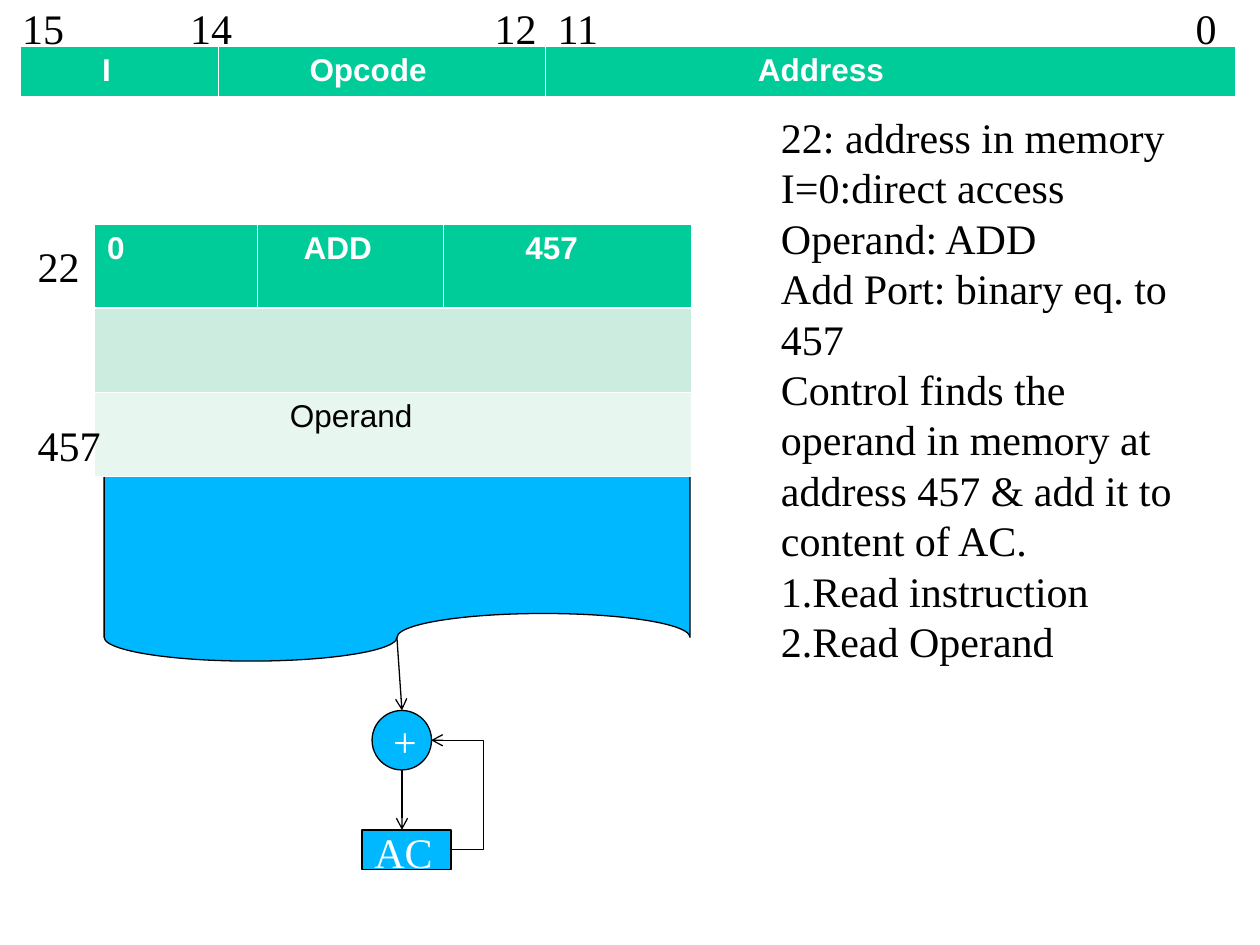
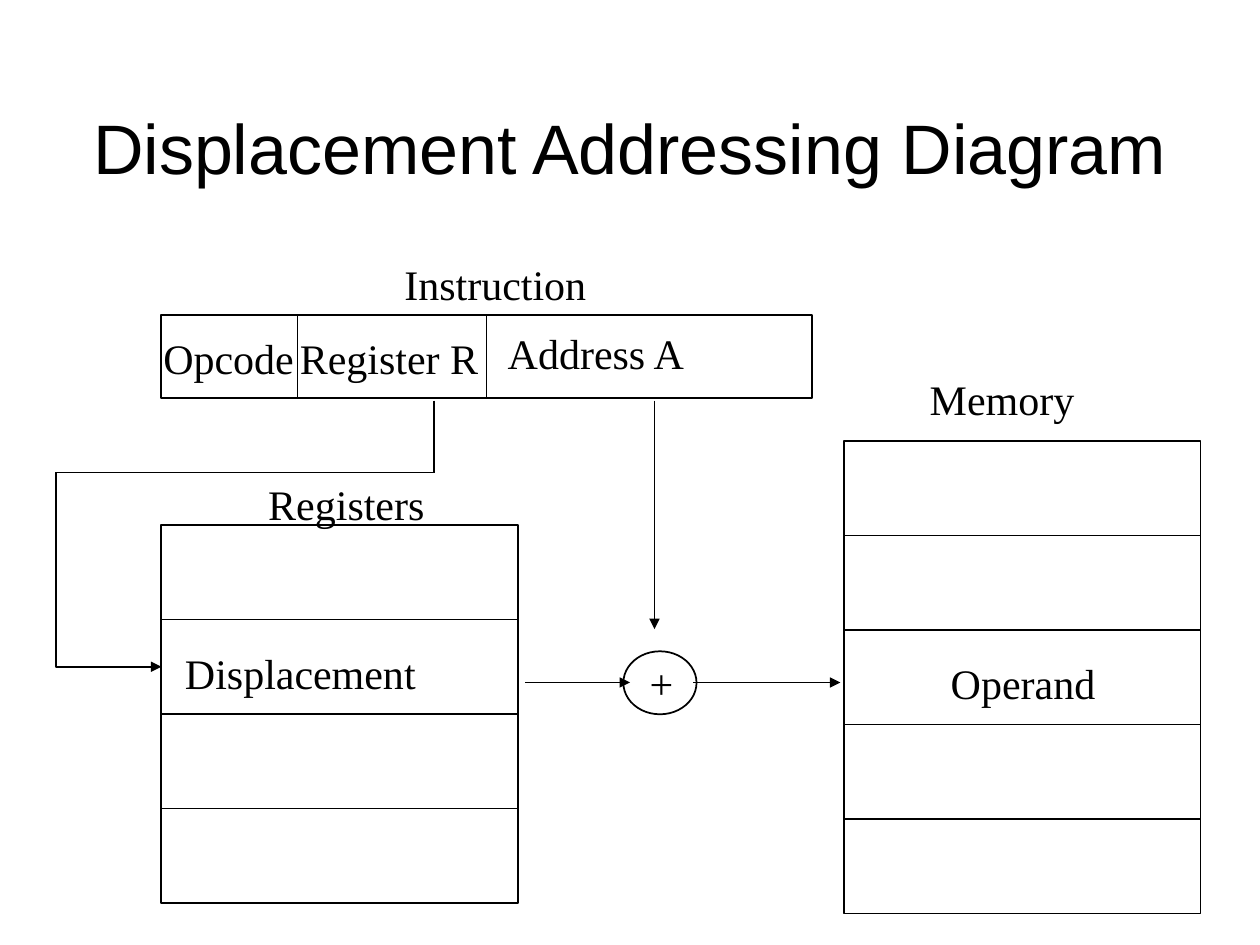
from lxml.etree import SubElement
from pptx import Presentation
from pptx.dml.color import RGBColor
from pptx.enum.shapes import MSO_CONNECTOR, MSO_SHAPE
from pptx.enum.text import MSO_ANCHOR, MSO_AUTO_SIZE, PP_ALIGN
from pptx.oxml.ns import qn
from pptx.util import Pt

BLACK = RGBColor(0x00, 0x00, 0x00)
WHITE = RGBColor(0xFF, 0xFF, 0xFF)
BLUE = RGBColor(0x00, 0xB8, 0xFF)
GREEN = RGBColor(0x00, 0xCC, 0x99)
MINT = RGBColor(0xCB, 0xEC, 0xDE)
PALE_MINT = RGBColor(0xE7, 0xF6, 0xEF)

SERIF = "Times New Roman"
SANS = "Arial"
THIN, NORMAL = 0.75, 1
CELL_BORDER, HEADER_BORDER = 0.45, 1.47
MARGIN_X, MARGIN_Y = 7.2, 3.6
LABEL_HEIGHT = 36
TITLE_ONLY, BLANK = 5, 6


def write_text(frame, text, *, size=24, font=SERIF, color=BLACK, bold=False,
               align=PP_ALIGN.LEFT, spacing=1.0, anchor=MSO_ANCHOR.TOP,
               tabs=(), numbered_from=None):
    """Fill a text frame, one paragraph for each line of text."""
    frame.margin_left = frame.margin_right = Pt(MARGIN_X)
    frame.margin_top = frame.margin_bottom = Pt(MARGIN_Y)
    frame.vertical_anchor = anchor
    for index, line in enumerate(text.split("\n")):
        paragraph = frame.add_paragraph() if index else frame.paragraphs[0]
        paragraph.alignment = align
        paragraph.line_spacing = spacing
        run = paragraph.add_run()
        run.text = line
        run.font.size = Pt(size)
        run.font.name = font
        run.font.bold = bold
        run.font.color.rgb = color
        properties = paragraph._p.get_or_add_pPr()
        if numbered_from is not None and index >= numbered_from:
            properties.set("marL", "0")
            properties.set("indent", "0")
            SubElement(properties, qn("a:buAutoNum"), type="arabicPeriod")
        if tabs:
            tab_list = SubElement(properties, qn("a:tabLst"))
            for position in tabs:
                SubElement(tab_list, qn("a:tab"), pos=str(Pt(position)), algn="l")


class Diagram:
    """Holds the presentation, the current slide and the line style."""

    def __init__(self):
        self.presentation = Presentation()
        self.presentation.slide_width = Pt(720)
        self.presentation.slide_height = Pt(540)
        self.slide = None
        self.line_width = NORMAL

    def new_slide(self, layout, line_width):
        layouts = self.presentation.slide_layouts
        self.slide = self.presentation.slides.add_slide(layouts[layout])
        self.line_width = line_width

    def title(self, text, left, top, width, height):
        title = self.slide.shapes.title
        title.left, title.top = Pt(left), Pt(top)
        title.width, title.height = Pt(width), Pt(height)
        title.text_frame.auto_size = MSO_AUTO_SIZE.NONE
        title.text_frame.word_wrap = True
        write_text(title.text_frame, text, size=40, font=SANS, spacing=0.81,
                   align=PP_ALIGN.CENTER, anchor=MSO_ANCHOR.BOTTOM)

    def label(self, text, left, top, width, height=LABEL_HEIGHT, **style):
        box = self.slide.shapes.add_textbox(Pt(left), Pt(top), Pt(width), Pt(height))
        box.text_frame.word_wrap = True
        box.text_frame.auto_size = MSO_AUTO_SIZE.SHAPE_TO_FIT_TEXT
        write_text(box.text_frame, text, **style)

    def outline(self, shape, width=None, arrow=None):
        shape.line.color.rgb = BLACK
        shape.line.width = Pt(width or self.line_width)
        if arrow:
            SubElement(shape.line._get_or_add_ln(), qn("a:tailEnd"), type=arrow)

    def shape(self, kind, left, top, width, height, fill=None, text=None):
        shape = self.slide.shapes.add_shape(kind, Pt(left), Pt(top), Pt(width), Pt(height))
        shape.shadow.inherit = False
        if fill is None:
            shape.fill.background()
        else:
            shape.fill.solid()
            shape.fill.fore_color.rgb = fill
        self.outline(shape)
        if text:
            write_text(shape.text_frame, text, color=WHITE, spacing=0.8)

    def stack(self, left, top, width, height, count):
        for index in range(count):
            self.shape(MSO_SHAPE.RECTANGLE, left, top + index * height, width, height)

    def line(self, start, end, arrow=None, width=None, bend=None):
        kind = MSO_CONNECTOR.STRAIGHT if bend is None else MSO_CONNECTOR.ELBOW
        points = [Pt(value) for value in (*start, *end)]
        connector = self.slide.shapes.add_connector(kind, *points)
        self.outline(connector, width, arrow)
        properties = connector._element.spPr
        SubElement(properties, qn("a:effectLst"))
        if bend is not None:
            adjustments = properties.find(".//" + qn("a:avLst"))
            SubElement(adjustments, qn("a:gd"), name="adj1",
                       fmla=f"val {round(bend * 100000)}")

    def polyline(self, points, arrow):
        corners = [(Pt(x), Pt(y)) for x, y in points]
        builder = self.slide.shapes.build_freeform(*corners[0])
        builder.add_line_segments(corners[1:], close=False)
        shape = builder.convert_to_shape()
        shape.shadow.inherit = False
        shape.fill.background()
        self.outline(shape, arrow=arrow)

    def table(self, left, top, widths, row_height, fills):
        frame = self.slide.shapes.add_table(
            len(fills), len(widths), Pt(left), Pt(top),
            Pt(sum(widths)), Pt(row_height * len(fills)))
        table = frame.table
        for column, width in zip(table.columns, widths):
            column.width = Pt(width)
        for index, (row, fill) in enumerate(zip(table.rows, fills)):
            row.height = Pt(row_height)
            for cell in row.cells:
                self.cell_style(cell, index, fill)
        return table

    def cell_style(self, cell, row, fill):
        properties = cell._tc.get_or_add_tcPr()
        for side in "LRTB":
            below_header = (row, side) in ((0, "B"), (1, "T"))
            width = HEADER_BORDER if below_header else CELL_BORDER
            border = SubElement(properties, qn(f"a:ln{side}"), w=str(Pt(width)))
            paint = SubElement(border, qn("a:solidFill"))
            SubElement(paint, qn("a:srgbClr"), val=str(WHITE))
        cell.fill.solid()
        cell.fill.fore_color.rgb = fill

    def header(self, table, entries):
        for cell, (text, indent) in zip(table.rows[0].cells, entries):
            self.cell_text(cell, text, indent, color=WHITE, bold=True)

    def cell_text(self, cell, text, indent, **style):
        write_text(cell.text_frame, text, size=18, font=SANS, **style)
        cell.margin_left, cell.margin_right = Pt(MARGIN_X + indent), Pt(MARGIN_X)
        cell.margin_top = cell.margin_bottom = Pt(MARGIN_Y)
        cell.vertical_anchor = MSO_ANCHOR.TOP


def direct_addressing(diagram):
    diagram.new_slide(BLANK, THIN)

    # Memory with the instruction and its operand
    diagram.shape(MSO_SHAPE.FLOWCHART_PUNCHED_TAPE, 59.5, 241.8, 334.8, 136, fill=BLUE)
    memory = diagram.table(54, 128.2, (92.9, 106.6, 141.8), 48, (GREEN, MINT, PALE_MINT))
    diagram.header(memory, (("0", 0), ("ADD", 19.5), ("457", 39.5)))
    for row in (1, 2):
        memory.cell(row, 0).merge(memory.cell(row, 2))
    diagram.cell_text(memory.cell(2, 0), "Operand", 104.5)
    diagram.label("22", 14.4, 133.9, 42)

    # Adder and accumulator
    diagram.line((226.8, 364.3), (229.7, 406), arrow="arrow")
    diagram.shape(MSO_SHAPE.OVAL, 212.6, 406, 34, 34, fill=BLUE, text="+")
    diagram.line((229.7, 440), (229.7, 474.2), arrow="arrow")
    diagram.shape(MSO_SHAPE.RECTANGLE, 206.8, 474.2, 51, 22.6, fill=BLUE, text="AC")
    diagram.line((257.8, 485.5), (246.4, 423), arrow="arrow", bend=-1.62)
    diagram.label("457", 14.4, 236.2, 54)

    # Explanation
    diagram.label("22: address in memory\n"
                  "I=0:direct access\n"
                  "Operand: ADD\n"
                  "Add Port: binary eq. to 457\n"
                  "Control finds the operand in memory at address 457 & add it to content of AC.\n"
                  "Read instruction\n"
                  "Read Operand",
                  439.2, 60.2, 249.8, 381.6, numbered_from=5)

    # Instruction format with bit numbers
    layout = diagram.table(11.7, 26.5, (113, 187.2, 394), 28.5, (GREEN,))
    diagram.header(layout, (("I", 39.5), ("Opcode", 45), ("Address", 114)))
    diagram.label("15\t14\t12\t11\t0", 5.6, -2.2, 700.6, tabs=(96, 270, 306, 670.5))


def displacement_addressing(diagram):
    diagram.new_slide(TITLE_ONLY, NORMAL)
    diagram.title("Displacement Addressing Diagram", 36, 21.6, 647.3, 89.3)

    # Instruction word
    diagram.shape(MSO_SHAPE.RECTANGLE, 92.2, 180, 371.8, 47.5)
    for divider in (170, 278):
        diagram.line((divider, 180.7), (divider, 227.5))
    diagram.label("Register R", 164.2, 186.3, 126)
    diagram.label("Opcode", 86.2, 186.3, 98)
    diagram.label("Address A", 283, 183.6, 126)
    diagram.label("Instruction", 224, 144, 128)

    # Memory
    diagram.stack(482.2, 252, 203.8, 54, 5)
    diagram.label("Memory", 524.2, 210.2, 108)
    diagram.label("Operand", 536.2, 372.2, 108)

    # Registers
    diagram.stack(92.2, 300, 203.8, 54, 4)
    diagram.label("Displacement", 98.6, 366.3, 156)
    diagram.label("Registers", 146.2, 270, 114)

    # Path from the register field to the register
    diagram.line((248, 229), (248, 269.5))
    diagram.line((248.4, 270), (31.8, 270))
    diagram.polyline(((31.8, 270), (31.8, 381), (92.2, 381)), arrow="triangle")

    # Adder and its inputs and output
    diagram.shape(MSO_SHAPE.OVAL, 356.2, 372.2, 41.8, 36)
    diagram.label("+", 364.2, 372.2, 32)
    diagram.line((374, 229), (374, 359.5), arrow="triangle")
    for start, end in ((396, 480.2), (300.2, 360)):
        diagram.line((start, 390), (end, 390), arrow="triangle", width=THIN)


def main():
    diagram = Diagram()
    direct_addressing(diagram)
    displacement_addressing(diagram)
    diagram.presentation.save("out.pptx")


if __name__ == "__main__":
    main()
